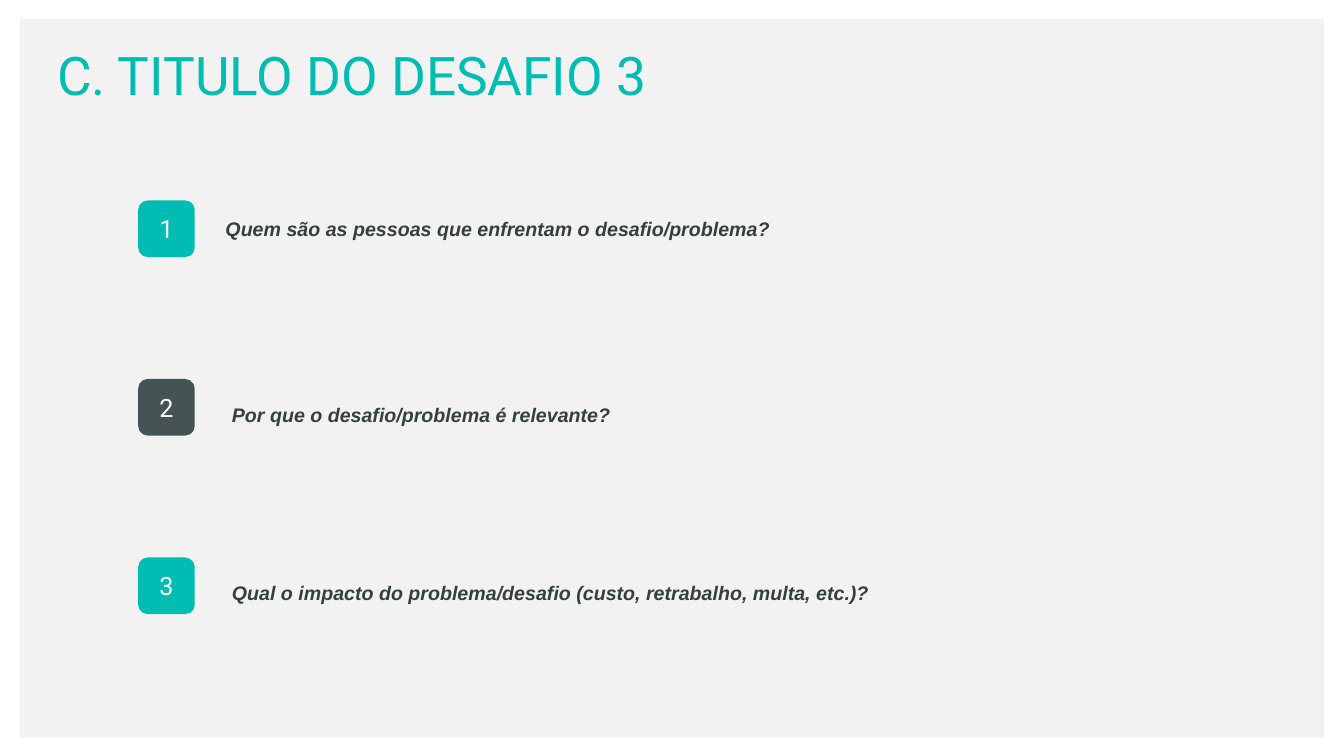
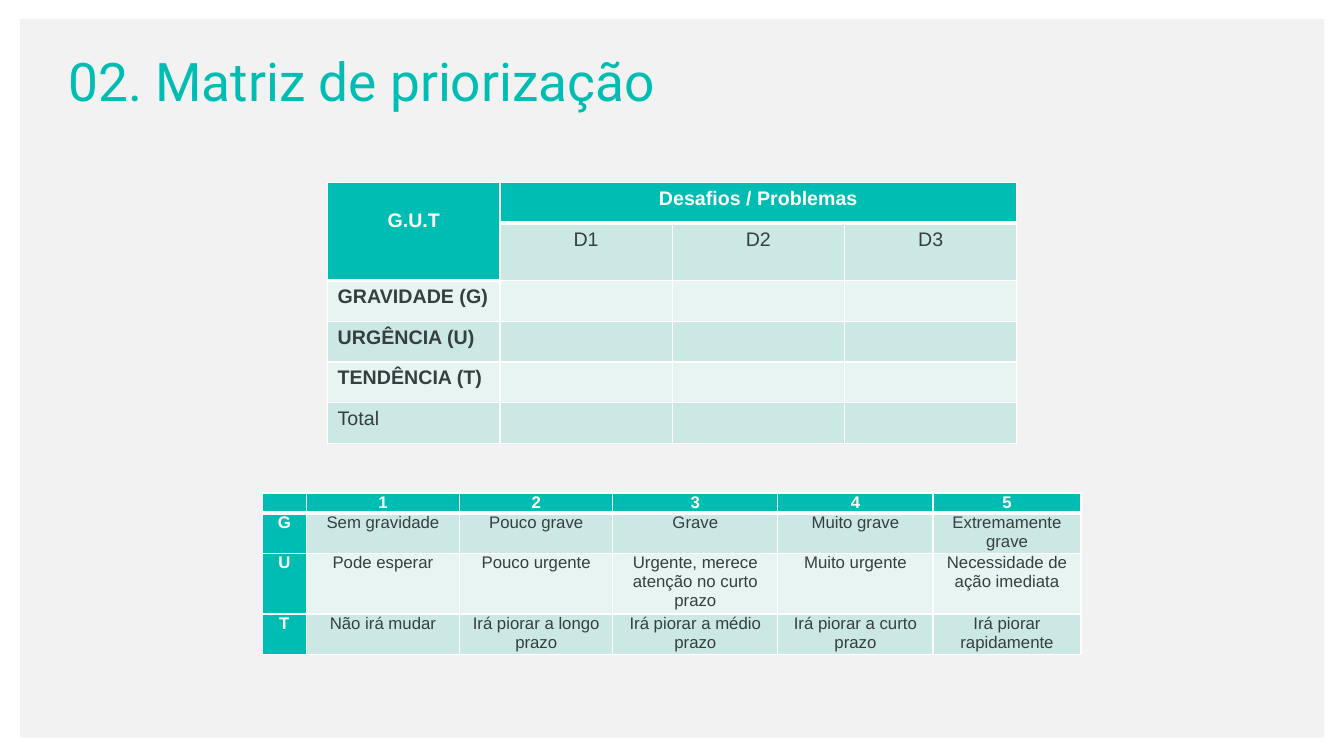
from dataclasses import dataclass

from lxml import etree
from pptx import Presentation
from pptx.dml.color import RGBColor
from pptx.enum import shapes, text
from pptx.oxml.ns import qn
from pptx.util import Pt


@dataclass(frozen=True)
class Theme:
    teal: str = "00BDB3"
    slate: str = "465354"
    ink: str = "353F40"
    white: str = "FFFFFF"
    panel: str = "F2F2F2"
    band_dark: str = "CCE8E5"
    band_light: str = "E7F4F2"
    display: str = "Roboto"
    body: str = "Arial"
    title_size: int = 38
    badge_size: int = 18
    body_size: int = 14
    scale_size: int = 12


theme = Theme()
CENTER, LEFT = text.PP_ALIGN.CENTER, text.PP_ALIGN.LEFT

deck = Presentation()
deck.slide_width, deck.slide_height = Pt(960), Pt(540)


def write(frame, words, color, align=LEFT, **font):
    """Put one styled run into the first paragraph of a text frame."""
    frame.word_wrap = True
    line = frame.paragraphs[0]
    line.alignment = align
    run = line.add_run()
    run.text = words
    run.font.color.rgb = RGBColor.from_string(color)
    for attribute, value in font.items():
        setattr(run.font, attribute, value)
    return line


def add_block(slide, kind, box, color):
    """Add a flat, borderless preset shape."""
    block = slide.shapes.add_shape(kind, *map(Pt, box))
    block.shadow.inherit = False
    block.fill.solid()
    block.fill.fore_color.rgb = RGBColor.from_string(color)
    block.line.fill.background()
    return block


# Both slides: grey panel and title
title_font = dict(name=theme.display, size=Pt(theme.title_size))
slides = []
for title, box in [
    ("C. TITULO DO DESAFIO 3", (33.8, 26.6, 508, 53)),
    ("02. Matriz de priorização", (41.8, 31, 665, 53)),
]:
    slide = deck.slides.add_slide(deck.slide_layouts[6])
    add_block(slide, shapes.MSO_SHAPE.RECTANGLE, (14.4, 13.5, 931.5, 513.5), theme.panel)
    heading = slide.shapes.add_textbox(*map(Pt, box))
    write(heading.text_frame, title, theme.teal, **title_font)
    slides.append(slide)
challenge, matrix = slides

# Challenge: numbered questions
badge_font = dict(name=theme.display, size=Pt(theme.badge_size))
question_font = dict(name=theme.body, size=Pt(theme.body_size), bold=True, italic=True)
questions = [
    ("Quem são as pessoas que enfrentam o desafio/problema?", theme.teal, 154, 143.3),
    ("Por que o desafio/problema é relevante?", theme.slate, 158.6, 275.8),
    ("Qual o impacto do problema/desafio (custo, retrabalho, multa, etc.)?", theme.teal, 158.6, 403.2),
]
for index, (question, color, left, top) in enumerate(questions):
    badge = add_block(challenge, shapes.MSO_SHAPE.ROUNDED_RECTANGLE,
                      (98.7, 143.2 + 127.5 * index, 40.4, 40.4), color)
    badge.text_frame.vertical_anchor = text.MSO_ANCHOR.MIDDLE
    write(badge.text_frame, str(index + 1), theme.white, CENTER, **badge_font)
    prompt = challenge.shapes.add_textbox(Pt(left), Pt(top), Pt(479.5), Pt(29.5))
    write(prompt.text_frame, question, theme.ink, **question_font).line_spacing = 1.5

# Matrix: scoring grid and the scale that explains it
scoring = dict(
    left=234, top=130.3, size=theme.body_size,
    columns=[123.1] * 4, rows=[29.1, 41] + [29.1] * 4,
    cells=[
        ["G.U.T", "Desafios / Problemas", "", ""],
        ["", "D1", "D2", "D3"],
        ["GRAVIDADE (G)", "", "", ""],
        ["URGÊNCIA (U)", "", "", ""],
        ["TENDÊNCIA (T)", "", "", ""],
        ["Total", "", "", ""],
    ],
    merges=[((0, 0), (1, 0)), ((0, 1), (0, 3))],
    side_heads={(1, 0)}, underlined={(0, 0), (0, 1), (0, 2), (0, 3), (1, 0)},
    centered_rows=2, margins=(7.2, 3.6),
)
scale = dict(
    left=187.4, top=352.1, size=theme.scale_size,
    columns=[31.4, 109.6, 109.4, 117.9, 110.8, 105.8],
    rows=[14.4 * lines for lines in (1, 2, 3, 2)],
    cells=[
        ["", "1", "2", "3", "4", "5"],
        ["G", "Sem gravidade", "Pouco grave", "Grave", "Muito grave", "Extremamente grave"],
        ["U", "Pode esperar", "Pouco urgente", "Urgente, merece atenção no curto prazo",
         "Muito urgente", "Necessidade de ação imediata"],
        ["T", "Não irá mudar", "Irá piorar a longo prazo", "Irá piorar a médio prazo",
         "Irá piorar a curto prazo", "Irá piorar rapidamente"],
    ],
    merges=[], side_heads={(1, 0), (2, 0), (3, 0)},
    underlined={(0, column) for column in range(6)},
    centered_rows=4, margins=(5, 0),
)

for grid in (scoring, scale):
    columns, rows, cells = grid["columns"], grid["rows"], grid["cells"]
    table = matrix.shapes.add_table(
        len(rows), len(columns), Pt(grid["left"]), Pt(grid["top"]),
        Pt(sum(columns)), Pt(sum(rows))).table
    table.first_row = table.horz_banding = False
    for column, width in zip(table.columns, columns):
        column.width = Pt(width)
    for row, height in zip(table.rows, rows):
        row.height = Pt(height)

    for r, row_words in enumerate(cells):
        for c, words in enumerate(row_words):
            cell = table.cell(r, c)
            head = r == 0 or (r, c) in grid["side_heads"]
            side, edge = grid["margins"]
            cell.margin_left = cell.margin_right = Pt(side)
            cell.margin_top = cell.margin_bottom = Pt(edge)
            band = theme.band_dark if r % 2 else theme.band_light
            cell.fill.solid()
            cell.fill.fore_color.rgb = RGBColor.from_string(theme.teal if head else band)
            if words:
                write(cell.text_frame, words, theme.white if head else theme.ink,
                      CENTER if r < grid["centered_rows"] else LEFT,
                      name=theme.body, size=Pt(grid["size"]),
                      bold=head or (c == 0 and words.isupper()))
            else:
                etree.SubElement(cell.text_frame.paragraphs[0]._p, qn("a:endParaRPr"),
                                 sz=str(grid["size"] * 100))

            # White cell borders, heavier under the headings
            borders = dict(
                lnL=1, lnR=1,
                lnT=3 if (r - 1, c) in grid["underlined"] else 1,
                lnB=3 if (r, c) in grid["underlined"] else 1,
            )
            properties = cell._tc.get_or_add_tcPr()
            for position, (tag, weight) in enumerate(borders.items()):
                border = etree.Element(qn(f"a:{tag}"), w=str(Pt(weight)))
                paint = etree.SubElement(border, qn("a:solidFill"))
                etree.SubElement(paint, qn("a:srgbClr"), val=theme.white)
                properties.insert(position, border)

    for first, last in grid["merges"]:
        table.cell(*first).merge(table.cell(*last))
    if grid is scoring:
        table.cell(0, 0).margin_top = Pt(19.7)

deck.save("out.pptx")
